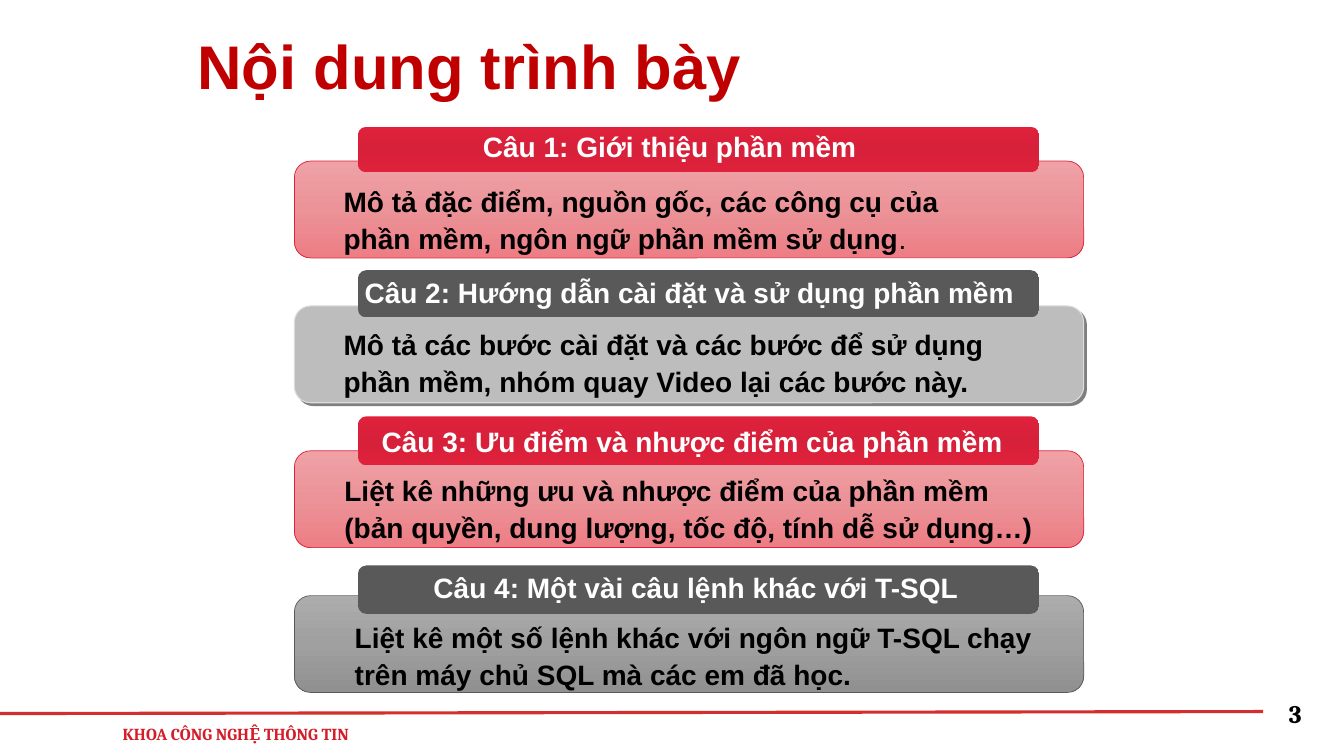
from copy import deepcopy
from dataclasses import dataclass

from lxml.etree import SubElement
from pptx import Presentation
from pptx.dml.color import RGBColor
from pptx.enum.shapes import MSO_CONNECTOR, MSO_SHAPE
from pptx.enum.text import MSO_ANCHOR, MSO_AUTO_SIZE, PP_ALIGN
from pptx.oxml.ns import qn
from pptx.util import Cm, Pt

RED_BAR = ("DF213B", "D72039", "DF213B")
GREY_BAR = ("595959", "565656", "595959")
RED_PANEL = ("EFA1A6", "EB9398", "ED7E85")
GREY_PANEL = ("ACACAC", "A0A0A0", "909090")
PANEL_TOP, PANEL_PITCH = 4.06, 3.65

TITLE = dict(name="Arial", size=Pt(44), bold=True)
BODY = dict(name="Arial", size=Pt(20), bold=True)
FOOTER = dict(name="Cambria", size=Pt(12), bold=True)
NUMBER = dict(name="Cambria", size=Pt(18), bold=True)


@dataclass
class Section:
    heading: str
    heading_box: tuple
    body: str
    body_box: tuple
    bar: tuple
    bar_colors: tuple
    panel_colors: tuple
    line: tuple
    shadow: bool = False
    tail: str = ""


SECTIONS = [
    Section("Câu 1: Giới thiệu phần mềm", (8.69, 3.15, 16.38, 1.12),
            "Mô tả đặc điểm, nguồn gốc, các công cụ của phần mềm, ngôn ngữ phần mềm sử dụng",
            (8.41, 4.45, 16.92, 2.13), (3.2, 1.14), RED_BAR, RED_PANEL,
            ("DF213B", 0.5), tail="."),
    Section("Câu 2: Hướng dẫn cài đặt và sử dụng phần mềm", (8.79, 6.81, 17.17, 1.12),
            "Mô tả các bước cài đặt và các bước để sử dụng phần mềm, nhóm quay Video lại các bước này.",
            (8.41, 8.05, 16.92, 2.13), (6.81, 1.19), GREY_BAR, ("BDBDBD",),
            ("DDDDDD", 0.75), shadow=True),
    Section("Câu 3: Ưu điểm và nhược điểm của phần mềm", (8.94, 10.57, 17.02, 1.12),
            "Liệt kê những ưu và nhược điểm của phần mềm (bản quyền, dung lượng, tốc độ, tính dễ sử dụng…)",
            (8.43, 11.73, 18.11, 2.06), (10.49, 1.24), RED_BAR, RED_PANEL,
            ("DF213B", 0.5)),
    Section("Câu 4: Một vài câu lệnh khác với T-SQL", (10.62, 14.25, 13.84, 1.12),
            "Liệt kê một số lệnh khác với ngôn ngữ T-SQL chạy trên máy chủ SQL mà các em đã học.",
            (8.69, 15.42, 17.86, 2.13), (14.25, 1.22), GREY_BAR, GREY_PANEL,
            ("595959", 0.5)),
]


def rgb(color: str) -> RGBColor:
    return RGBColor.from_string(color)


def add_shadow(effects, distance: float, alpha: int) -> None:
    shadow = SubElement(effects, qn("a:outerShdw"), blurRad="0",
                        dist=str(Pt(distance)), dir="2700000", algn="ctr", rotWithShape="0")
    color = SubElement(shadow, qn("a:srgbClr"), val="000000")
    SubElement(color, qn("a:alpha"), val=str(alpha * 1000))


def add_run(p, text: str, fmt: dict, color: str):
    r = p.add_run()
    r.text = text
    for key, value in fmt.items():
        setattr(r.font, key, value)
    r.font.color.rgb = rgb(color)
    return r


def add_text(slide, box: tuple, text: str, fmt: dict, color: str, wrap: bool = True):
    tf = slide.shapes.add_textbox(*map(Cm, box)).text_frame
    tf.word_wrap = wrap
    tf.auto_size = MSO_AUTO_SIZE.SHAPE_TO_FIT_TEXT
    p = tf.paragraphs[0]
    return p, add_run(p, text, fmt, color)


def paint(sp, colors: tuple) -> None:
    if len(colors) == 1:
        sp.fill.solid()
        sp.fill.fore_color.rgb = rgb(colors[0])
        return
    sp.fill.gradient()
    sp.fill.gradient_angle = 270
    first = next(sp._element.spPr.iter(qn("a:gs")))
    first.addnext(deepcopy(first))
    for i, (stop, color) in enumerate(zip(sp.fill.gradient_stops, colors)):
        stop.position = i / 2
        stop.color.rgb = rgb(color)


def add_round_rect(slide, box: tuple, corner: float, colors: tuple):
    sp = slide.shapes.add_shape(MSO_SHAPE.ROUNDED_RECTANGLE, *map(Cm, box))
    sp.adjustments[0] = corner
    sp.shadow.inherit = False
    paint(sp, colors)
    sp.line.fill.background()
    return sp


def add_section(slide, index: int, section: Section) -> None:
    top = PANEL_TOP + index * PANEL_PITCH
    panel = add_round_rect(slide, (7.42, top, 19.89, 2.44), 0.167, section.panel_colors)
    color, width = section.line
    panel.line.color.rgb = rgb(color)
    panel.line.width = Pt(width)
    if section.shadow:
        add_shadow(panel._element.spPr.find(qn("a:effectLst")), 2.8, 50)

    bar_top, bar_height = section.bar
    add_round_rect(slide, (9.02, bar_top, 17.17, bar_height), 0.175, section.bar_colors)

    p, r = add_text(slide, section.heading_box, section.heading, BODY, "FFFFFF")
    p.alignment = PP_ALIGN.CENTER
    effects = SubElement(r.font._element, qn("a:effectLst"))
    r.font._element.find(qn("a:solidFill")).addnext(effects)
    add_shadow(effects, 2, 100)

    p, r = add_text(slide, section.body_box, section.body, BODY, "000000")
    p.line_spacing = 1.1
    if section.tail:
        add_run(p, section.tail, {**BODY, "bold": False}, "000000")


def add_title(slide) -> None:
    sp = slide.shapes.title
    sp.left, sp.top, sp.width, sp.height = map(Cm, (4.72, 0.66, 30.48, 2.18))
    tf = sp.text_frame
    tf.vertical_anchor = MSO_ANCHOR.MIDDLE
    p = tf.paragraphs[0]
    p.alignment = PP_ALIGN.LEFT
    p.line_spacing = 0.9
    add_run(p, "Nội dung trình bày", TITLE, "C00000")


def add_footer(slide) -> None:
    line = slide.shapes.add_connector(MSO_CONNECTOR.STRAIGHT, Cm(0), Cm(17.98),
                                      Cm(31.83), Cm(17.93))
    line.line.color.rgb = rgb("D32F2F")
    line.line.width = Pt(2.25)
    SubElement(line._element.spPr, qn("a:effectLst"))
    add_text(slide, (32.23, 17.48, 1.32, 1.02), "3", NUMBER, "000000", wrap=False)
    add_text(slide, (2.84, 18.11, 6.43, 0.76), "KHOA CÔNG NGHỆ THÔNG TIN",
             FOOTER, "D51C29", wrap=False)


def main() -> None:
    prs = Presentation()
    prs.slide_width, prs.slide_height = Cm(33.87), Cm(19.05)
    slide = prs.slides.add_slide(prs.slide_layouts[5])
    add_title(slide)
    add_footer(slide)
    for index, section in enumerate(SECTIONS):
        add_section(slide, index, section)
    prs.save("out.pptx")


if __name__ == "__main__":
    main()
